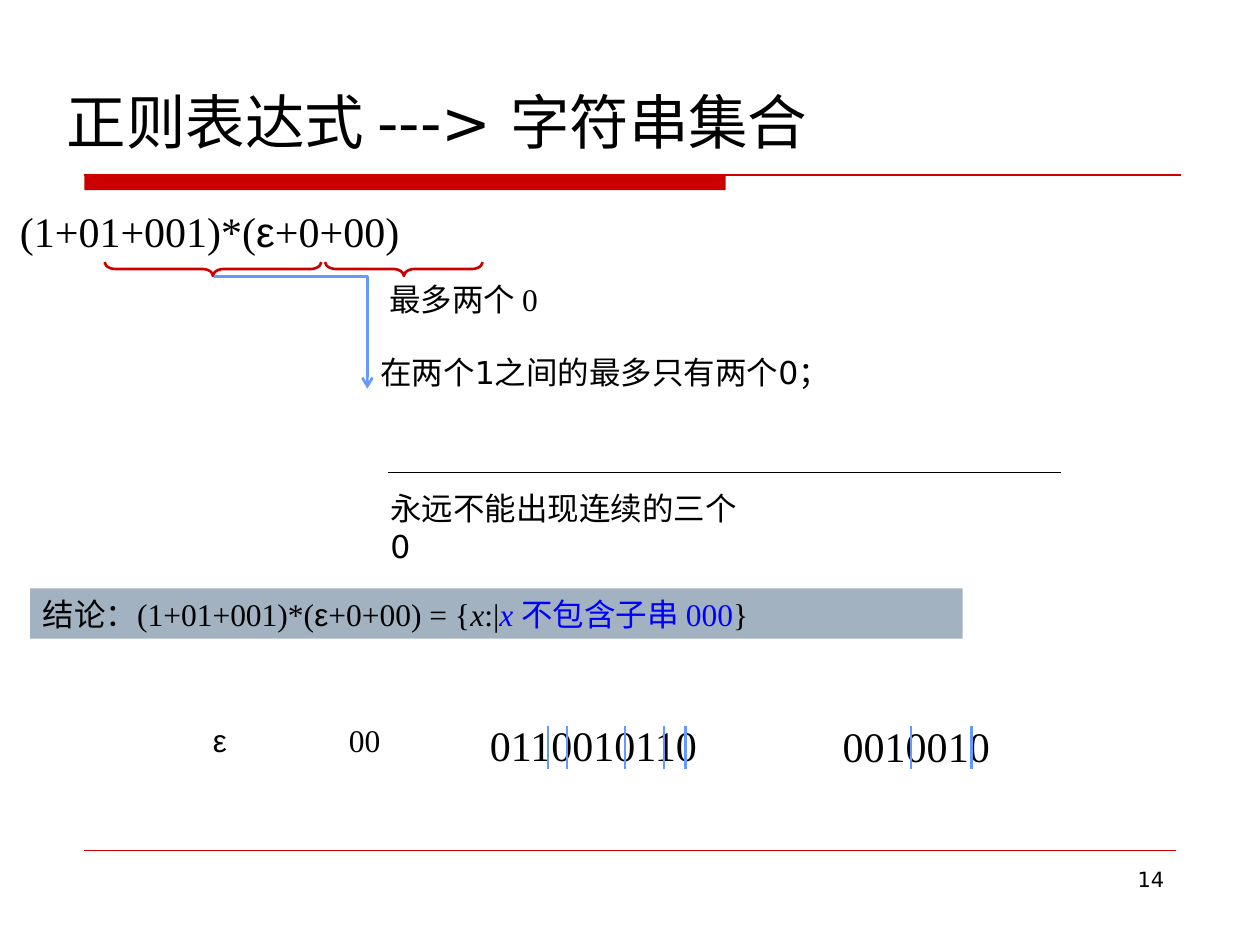
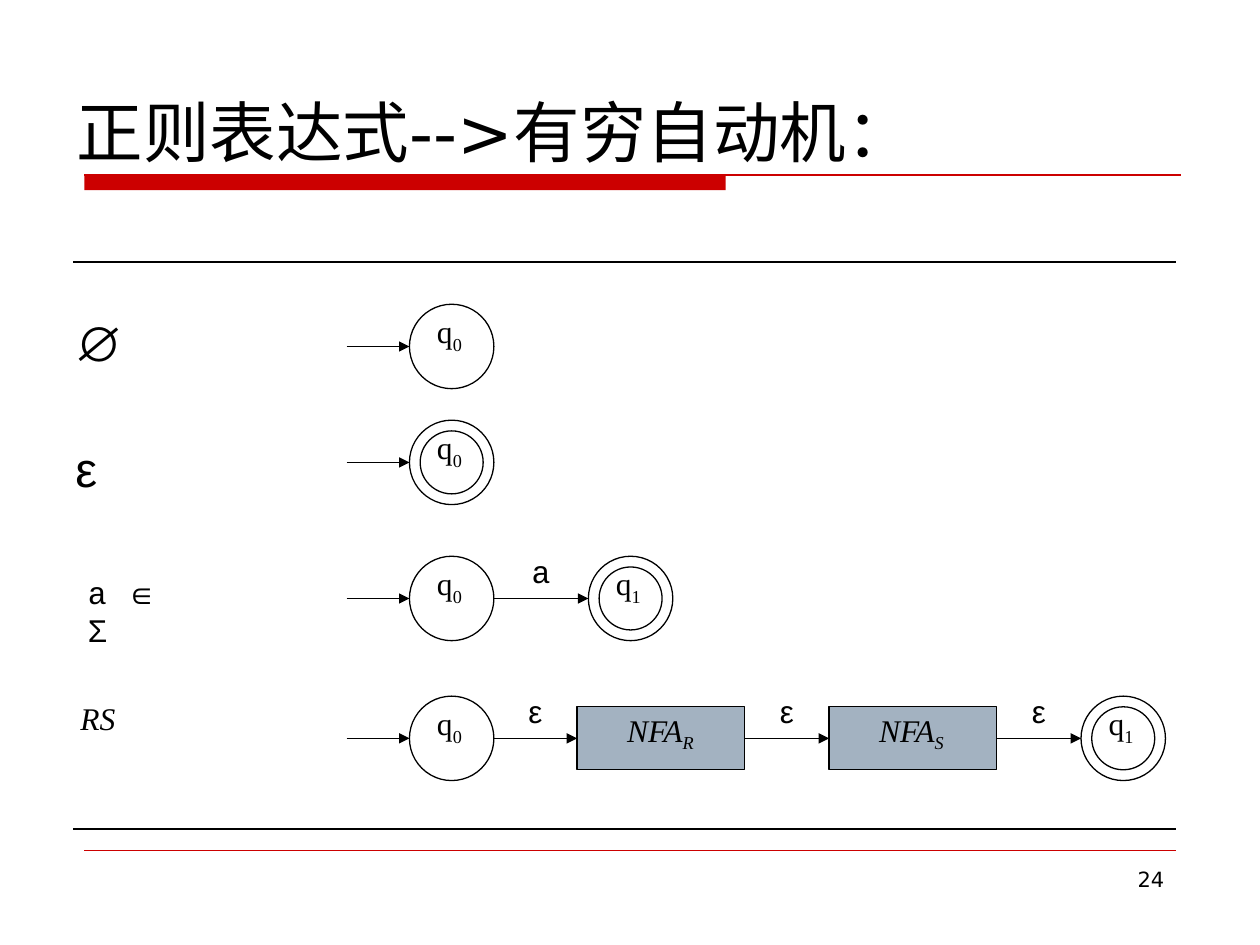
"""Build two slides on regular expressions, string sets and finite automata."""
from dataclasses import dataclass

from lxml import etree
from pptx import Presentation
from pptx.dml.color import RGBColor
from pptx.enum.shapes import MSO_CONNECTOR, MSO_SHAPE
from pptx.enum.text import MSO_ANCHOR, MSO_AUTO_SIZE, PP_ALIGN
from pptx.oxml.ns import qn
from pptx.util import Inches, Pt

STRAIGHT, ELBOW = MSO_CONNECTOR.STRAIGHT, MSO_CONNECTOR.ELBOW
RECTANGLE, OVAL, BRACE = MSO_SHAPE.RECTANGLE, MSO_SHAPE.OVAL, MSO_SHAPE.RIGHT_BRACE
TOP, MIDDLE = MSO_ANCHOR.TOP, MSO_ANCHOR.MIDDLE
LEFT, CENTER, RIGHT = PP_ALIGN.LEFT, PP_ALIGN.CENTER, PP_ALIGN.RIGHT


@dataclass(frozen=True)
class Theme:
    """Colours, fonts and type sizes of the deck."""
    black: str = "000000"
    red: str = "CC0000"
    panel: str = "A3B2C1"
    light_blue: str = "6699FF"
    blue: str = "0000FF"
    sans: str = "DejaVu Sans"
    serif: str = "Times New Roman"
    symbol: str = "Arial"
    code: str = "Courier New"
    small: int = 12
    body: int = 18
    formula: int = 24
    large: int = 28
    thin: float = 0.75
    bold: float = 1.5


THEME = Theme()
SERIF = {"name": THEME.serif}
ITALIC = {"name": THEME.serif, "italic": True}
SANS = {"name": THEME.sans}
SYMBOL = {"name": THEME.symbol}
CODE = {"name": THEME.code}
FORMULA = {"name": THEME.serif, "size": THEME.formula}
FORMULA_SYMBOL = {"name": THEME.symbol, "size": THEME.formula}
LARGE_SYMBOL = {"name": THEME.symbol, "size": THEME.large}
SUBSCRIPT = {"baseline": -25000}
EPSILON = [("ε", SYMBOL)]

STRING_SET = {
    "title": ("正则表达式 ---> 字符串集合", 34, (0.43, 0.6, 9.14, 0.72)),
    "number": "14",
    "texts": [
        ((0.06, 1.58, 4.56, 0.5),
         [("(1+01+001)*(", FORMULA), ("ε", FORMULA_SYMBOL), ("+0+00)", FORMULA)]),
        ((2.99, 2.17, 1.6, 0.4), [("最多两个 ", SANS), ("0", SERIF)]),
        ((2.92, 2.75, 3.9, 0.4), [("在两个1之间的最多只有两个0；", SANS)]),
        ((3, 3.83, 3.1, 0.4), [("永远不能出现连续的三个0", SANS)]),
        ((1.59, 5.67, 0.35, 0.4), EPSILON),
        ((2.67, 5.67, 0.5, 0.4), [("00", SERIF)]),
        ((3.79, 5.66, 2.06, 0.5), [("0110010110", FORMULA)]),
        ((6.59, 5.67, 1.5, 0.5), [("0010010", FORMULA)]),
    ],
    "conclusion": [
        ("结论：(1+01+001)*(", SERIF), ("ε", SYMBOL), ("+0+00) = {", SERIF),
        ("x", ITALIC), (":|", SERIF), ("x ", {**ITALIC, "color": THEME.blue}),
        ("不包含子串 000", {**SERIF, "color": THEME.blue}), ("}", SERIF),
    ],
    "braces": [(0.83, 1.72), (2.58, 1.25)],
    "split_marks": [4.35, 4.5, 4.96, 5.27, 5.44, 7.23, 7.71],
}

AUTOMATA = {
    "title": ("正则表达式-->有穷自动机：", 38, (0.51, 0.68, 9.14, 0.72)),
    "number": "24",
    "rules": [2.08, 6.58],
    "rows": [
        {"center": 2.75, "label": [("∅", LARGE_SYMBOL)], "at": (0.49, 2.43, 0.55, 0.57),
         "parts": [("state", 3.25, "0")], "arrows": []},
        {"center": 3.67, "label": [("ε", LARGE_SYMBOL)], "at": (0.5, 3.43, 0.45, 0.57),
         "parts": [("final", 3.25, "0")], "arrows": []},
        {"center": 4.75, "label": [("a ", CODE), ("∈ Σ", SYMBOL)], "at": (0.6, 4.5, 0.8, 0.4),
         "parts": [("state", 3.25, "0"), ("final", 4.67, "1")], "arrows": [[("a", CODE)]]},
        {"center": 5.86, "label": [("RS", ITALIC)], "at": (0.54, 5.5, 0.6, 0.4),
         "parts": [("state", 3.25, "0"), ("machine", 4.58, "R"),
                   ("machine", 6.58, "S"), ("final", 8.58, "1")],
         "arrows": [EPSILON] * 3},
    ],
}
STATE_SIZE, INNER_SIZE = 0.67, 0.5
MACHINE_SIZE = (1.33, 0.5)
START = 2.75


def set_values(target, values):
    """Set each attribute named in a dict."""
    for name, value in values.items():
        setattr(target, name, value)


def write_runs(shape, runs, align=LEFT, anchor=TOP):
    """Fill a shape with one paragraph of formatted runs."""
    frame = shape.text_frame
    set_values(frame, {
        "word_wrap": True, "auto_size": MSO_AUTO_SIZE.NONE, "vertical_anchor": anchor,
        "margin_left": Inches(0.1), "margin_right": Inches(0.1),
        "margin_top": Inches(0.05), "margin_bottom": Inches(0.05)})
    paragraph = frame.paragraphs[0]
    paragraph.alignment = align
    for text, style in runs:
        run = paragraph.add_run()
        run.text = text
        set_values(run.font, {
            "name": style["name"], "size": Pt(style.get("size", THEME.body)),
            "italic": style.get("italic", False)})
        run.font.color.rgb = RGBColor.from_string(style.get("color", THEME.black))
        if "baseline" in style:
            run._r.get_or_add_rPr().set("baseline", str(style["baseline"]))


def add_text(slide, at, runs, align=LEFT):
    """Add a text box."""
    write_runs(slide.shapes.add_textbox(*map(Inches, at)), runs, align)


def add_figure(slide, kind, at, fill=None, line=None, width=THEME.thin):
    """Add a preset shape with an optional fill and outline."""
    shape = slide.shapes.add_shape(kind, *map(Inches, at))
    shape.shadow.inherit = False
    if fill:
        shape.fill.solid()
        shape.fill.fore_color.rgb = RGBColor.from_string(fill)
    else:
        shape.fill.background()
    if line:
        shape.line.color.rgb = RGBColor.from_string(line)
        shape.line.width = Pt(width)
    else:
        shape.line.fill.background()
    return shape


def add_line(slide, ends, color=THEME.black, width=THEME.thin, arrow=None, kind=STRAIGHT):
    """Add a connector with an optional arrowhead at its end."""
    connector = slide.shapes.add_connector(kind, *map(Inches, ends))
    connector.line.color.rgb = RGBColor.from_string(color)
    connector.line.width = Pt(width)
    if arrow:
        etree.SubElement(connector.line._get_or_add_ln(), qn("a:tailEnd"), type=arrow)
    etree.SubElement(connector._element.spPr, qn("a:effectLst"))
    return connector


def add_base(presentation, content):
    """Add a slide with the title, red band, footer rule and number."""
    slide = presentation.slides.add_slide(presentation.slide_layouts[5])
    add_figure(slide, RECTANGLE, (0.67, 1.39, 5.09, 0.12), THEME.red)
    add_line(slide, (0.67, 1.39, 9.37, 1.39), THEME.red)
    add_line(slide, (0.67, 6.75, 9.33, 6.75), THEME.red, 0.25)
    add_text(slide, (7.17, 6.83, 2.17, 0.52),
             [(content["number"], {**SANS, "size": THEME.small})], RIGHT)
    text, size, at = content["title"]
    title = slide.shapes.title
    set_values(title, dict(zip(("left", "top", "width", "height"), map(Inches, at))))
    write_runs(title, [(text, {**SANS, "size": size})], LEFT, MIDDLE)
    return slide


def add_brace(slide, left, length):
    """Add a brace that lies under the formula with its tip down."""
    depth, middle = 0.11, 2.135
    at = (left + (length - depth) / 2, middle - length / 2, depth, length)
    brace = add_figure(slide, BRACE, at, line=THEME.red, width=THEME.bold)
    brace.rotation = 90
    brace.adjustments[0] = 0.78


def add_bent_arrow(slide):
    """Add the arrow that runs right from the brace tip and then down."""
    connector = add_line(slide, (1.86, 2.03, 2.75, 3.25), THEME.light_blue,
                         THEME.bold, "arrow", ELBOW)
    properties = connector._element.spPr
    transform = properties.find(qn("a:xfrm"))
    transform.set("rot", "16200000")
    transform.set("flipH", "1")
    guides = properties.find(qn("a:prstGeom")).find(qn("a:avLst"))
    etree.SubElement(guides, qn("a:gd"), name="adj1", fmla="val 0")


def build_string_set(presentation):
    """Build the slide on the strings that an expression describes."""
    slide = add_base(presentation, STRING_SET)
    for left, length in STRING_SET["braces"]:
        add_brace(slide, left, length)
    add_bent_arrow(slide)
    panel = add_figure(slide, RECTANGLE, (0.24, 4.67, 7.4, 0.4), THEME.panel)
    write_runs(panel, STRING_SET["conclusion"])
    add_line(slide, (3.08, 3.75, 8.42, 3.75))
    for at, runs in STRING_SET["texts"]:
        add_text(slide, at, runs)
    for x in STRING_SET["split_marks"]:
        add_line(slide, (x, 5.76, x, 6.1), THEME.light_blue, THEME.bold)


def add_part(slide, kind, left, index, center):
    """Add a state or a machine box and return its right edge."""
    if kind == "machine":
        width, height = MACHINE_SIZE
        add_figure(slide, RECTANGLE, (left, center - height / 2, width, height),
                   THEME.panel, THEME.black)
        add_text(slide, (left + 0.3, center - 0.27, 0.9, 0.44),
                 [("NFA", ITALIC), (index, {**ITALIC, **SUBSCRIPT})])
        return left + width
    for size in (STATE_SIZE, INNER_SIZE) if kind == "final" else (STATE_SIZE,):
        add_figure(slide, OVAL, (left + (STATE_SIZE - size) / 2, center - size / 2, size, size),
                   line=THEME.black)
    add_text(slide, (left + 0.12, center - 0.32, 0.5, 0.44),
             [("q", SERIF), (index, {**SERIF, **SUBSCRIPT})])
    return left + STATE_SIZE


def build_automata(presentation):
    """Build the slide that pairs expressions with automata."""
    slide = add_base(presentation, AUTOMATA)
    for y in AUTOMATA["rules"]:
        add_line(slide, (0.58, y, 9.33, y))
    for row in AUTOMATA["rows"]:
        center, edge = row["center"], START
        add_text(slide, row["at"], row["label"])
        for (kind, left, index), label in zip(row["parts"], [None, *row["arrows"]]):
            add_line(slide, (edge, center, left, center), arrow="triangle")
            if label:
                add_text(slide, ((edge + left) / 2 - 0.2, center - 0.42, 0.4, 0.4),
                         label, CENTER)
            edge = add_part(slide, kind, left, index, center)


def main():
    """Create and save the deck."""
    presentation = Presentation()
    presentation.slide_width, presentation.slide_height = Inches(10), Inches(7.5)
    build_string_set(presentation)
    build_automata(presentation)
    presentation.save("out.pptx")


if __name__ == "__main__":
    main()
